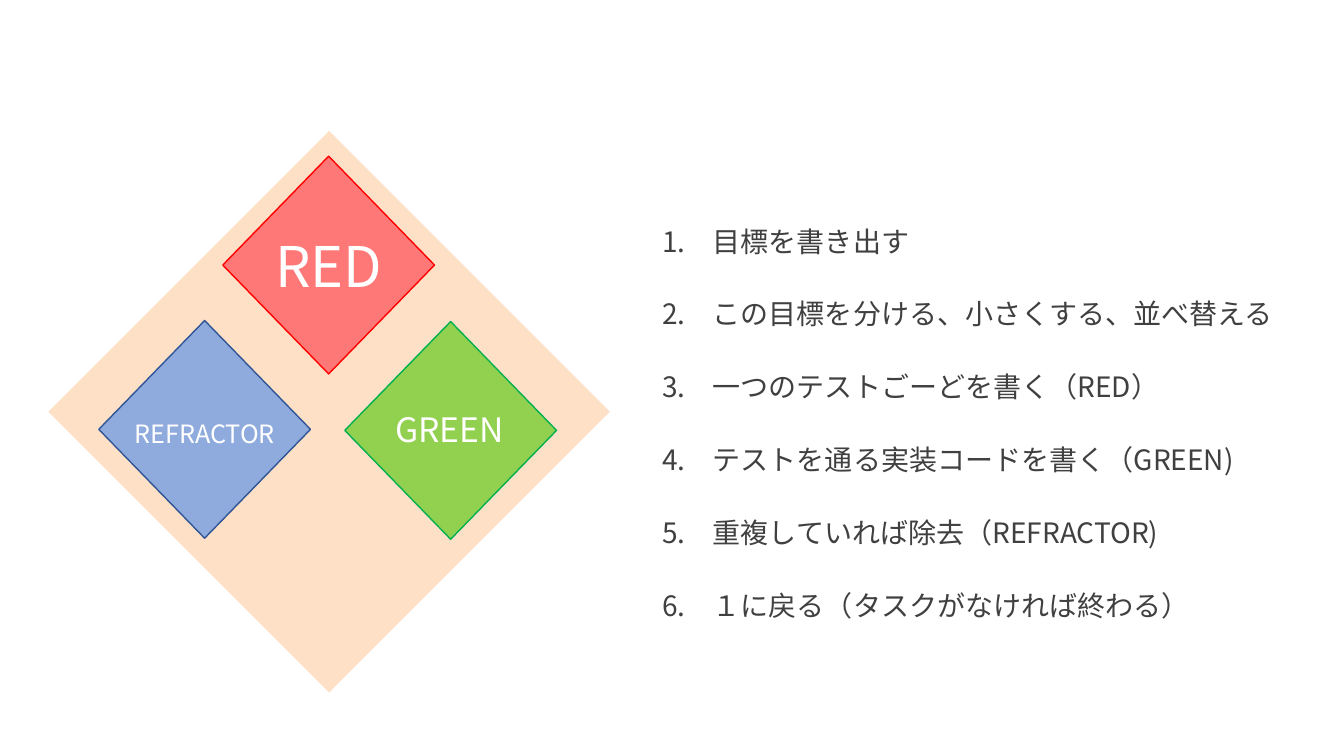
from pptx import Presentation
from pptx.dml.color import RGBColor
from pptx.enum.shapes import MSO_SHAPE
from pptx.enum.text import MSO_ANCHOR, PP_ALIGN
from pptx.util import Inches, Pt
from lxml import etree

FONT = "Noto Sans CJK JP"
COLORS = {
    "peach": "FEE0C6",
    "red": "FF7878", "red_line": "FF0000",
    "green": "92D050", "green_line": "00B050",
    "blue": "8FAADC", "blue_line": "2F5597",
    "white": "FFFFFF", "text": "404040",
}
BACKDROP = (0.48, 1.3, 5.57, 5.57)
DIAMOND_SIZE = (2.1, 2.16)
PHASES = [
    ("RED", "red", (2.21, 1.55), (2.59, 2.25, 1.34, 0.77), 40),
    ("GREEN", "green", (3.42, 3.19), (3.79, 4.01, 1.34, 0.5), 24),
    ("REFRACTOR", "blue", (0.98, 3.18), (1.15, 4.1, 1.76, 0.4), 18),
]
STEPS_BOX = (6.57, 1.89, 6.76, 4.38)
STEPS = [
    "目標を書き出す",
    "この目標を分ける、小さくする、並べ替える",
    "一つのテストごーどを書く（RED）",
    "テストを通る実装コードを書く（GREEN)",
    "重複していれば除去（REFRACTOR)",
    "１に戻る（タスクがなければ終わる）",
]


def color(name):
    return RGBColor.from_string(COLORS[name])


def add_diamond(slide, box, fill, line=None):
    shape = slide.shapes.add_shape(MSO_SHAPE.DIAMOND, *map(Inches, box))
    shape.shadow.inherit = False
    shape.fill.solid()
    shape.fill.fore_color.rgb = color(fill)
    if line:
        shape.line.color.rgb = color(line)
        shape.line.width = Pt(1)
    else:
        shape.line.fill.background()


def add_text_frame(slide, box, anchor):
    frame = slide.shapes.add_textbox(*map(Inches, box)).text_frame
    frame.word_wrap = True
    frame.vertical_anchor = anchor
    return frame


def add_run(paragraph, text, size, color_name):
    run = paragraph.add_run()
    run.text = text
    run.font.size = Pt(size)
    run.font.name = FONT
    run.font.color.rgb = color(color_name)
    properties = run.font._element
    latin = properties.find("{*}latin")
    east_asian = etree.Element(latin.tag.replace("latin", "ea"), typeface=FONT)
    latin.addnext(east_asian)


def number_paragraph(paragraph):
    properties = paragraph._p.get_or_add_pPr()
    properties.set("marL", str(Inches(0.5)))
    properties.set("indent", str(Inches(-0.5)))
    namespace = etree.QName(properties).namespace
    etree.SubElement(properties, f"{{{namespace}}}buFont", typeface=FONT)
    etree.SubElement(properties, f"{{{namespace}}}buAutoNum", type="arabicPeriod")


def add_steps(slide):
    frame = add_text_frame(slide, STEPS_BOX, MSO_ANCHOR.TOP)
    frame.margin_left = frame.margin_right = 0
    frame.margin_top = frame.margin_bottom = 0
    for index, step in enumerate(STEPS):
        paragraph = frame.add_paragraph() if index else frame.paragraphs[0]
        paragraph.line_spacing = Pt(48)
        paragraph.space_before = Pt(4)
        number_paragraph(paragraph)
        add_run(paragraph, step, 20, "text")


def main():
    presentation = Presentation()
    presentation.slide_width = Inches(13.33)
    presentation.slide_height = Inches(7.5)
    slide = presentation.slides.add_slide(presentation.slide_layouts[6])
    add_diamond(slide, BACKDROP, "peach")
    for label, fill, position, label_box, size in PHASES:
        add_diamond(slide, position + DIAMOND_SIZE, fill, f"{fill}_line")
        frame = add_text_frame(slide, label_box, MSO_ANCHOR.MIDDLE)
        paragraph = frame.paragraphs[0]
        paragraph.alignment = PP_ALIGN.CENTER
        add_run(paragraph, label, size, "white")
    add_steps(slide)
    presentation.save("out.pptx")


if __name__ == "__main__":
    main()
